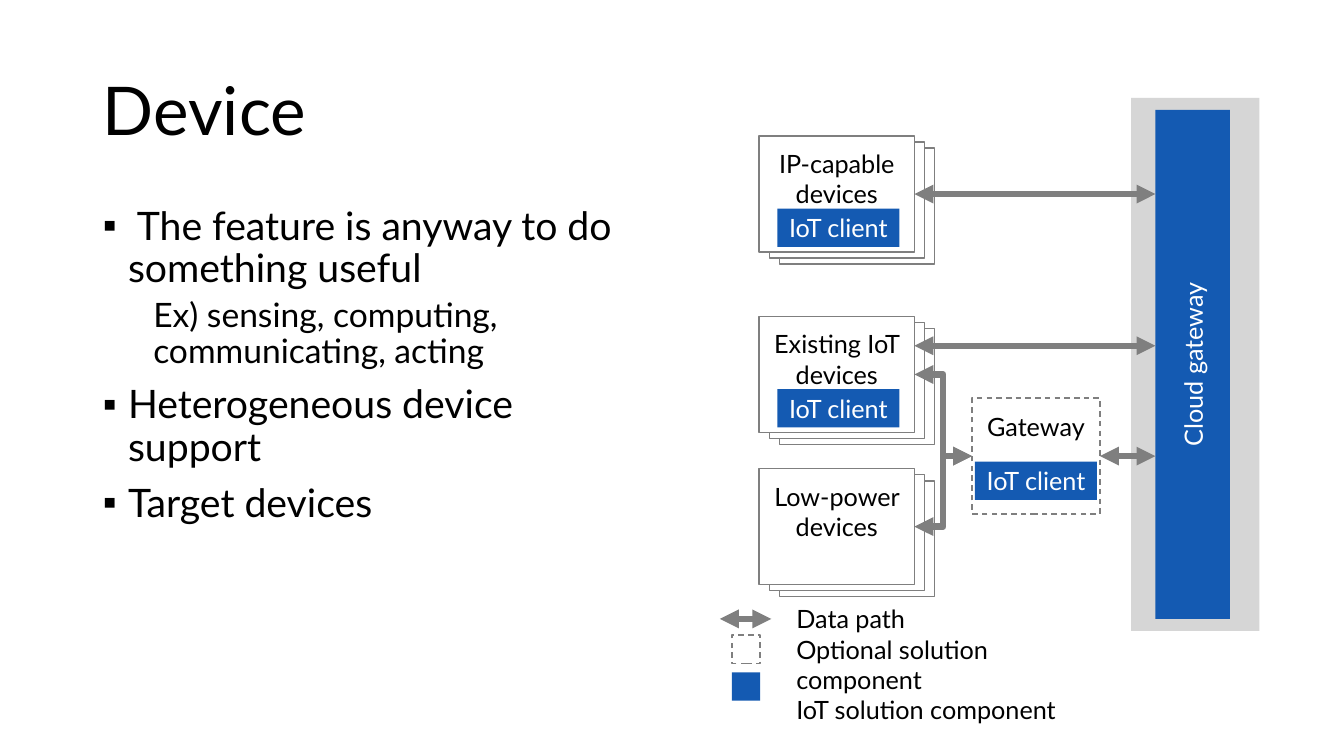
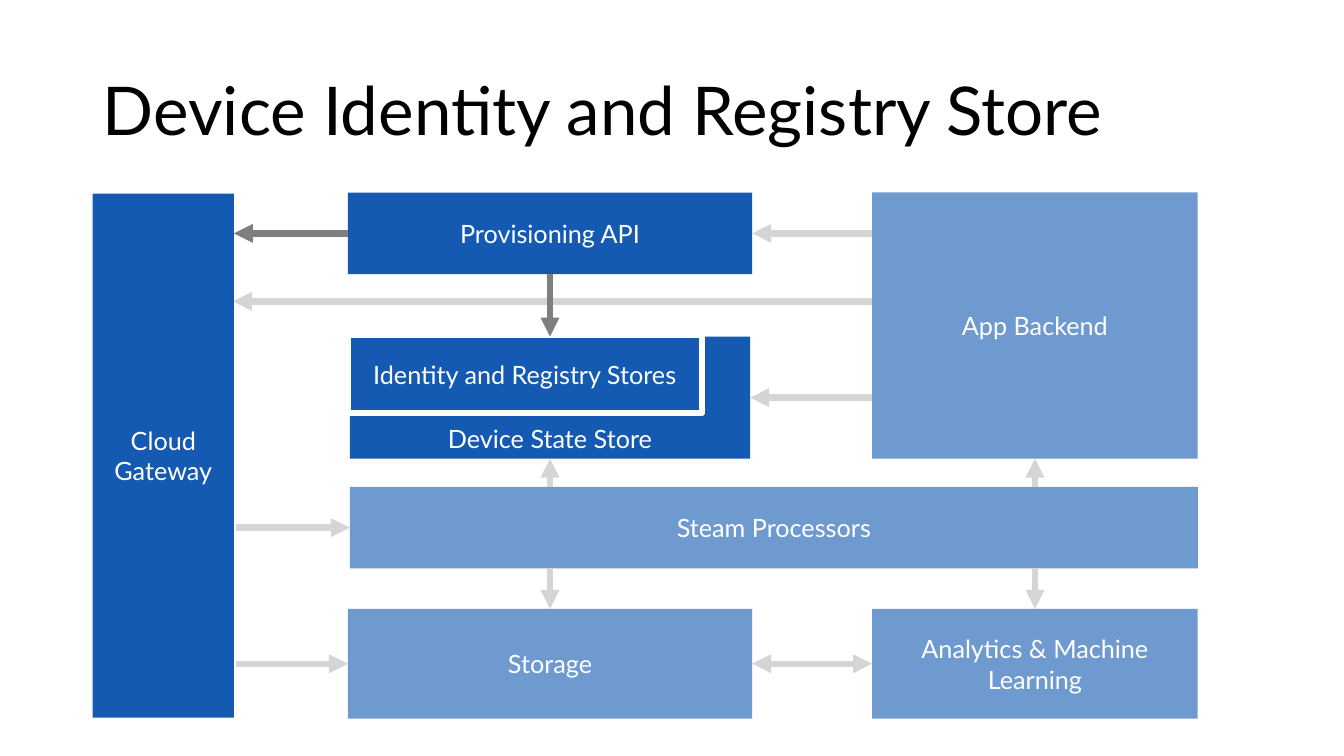
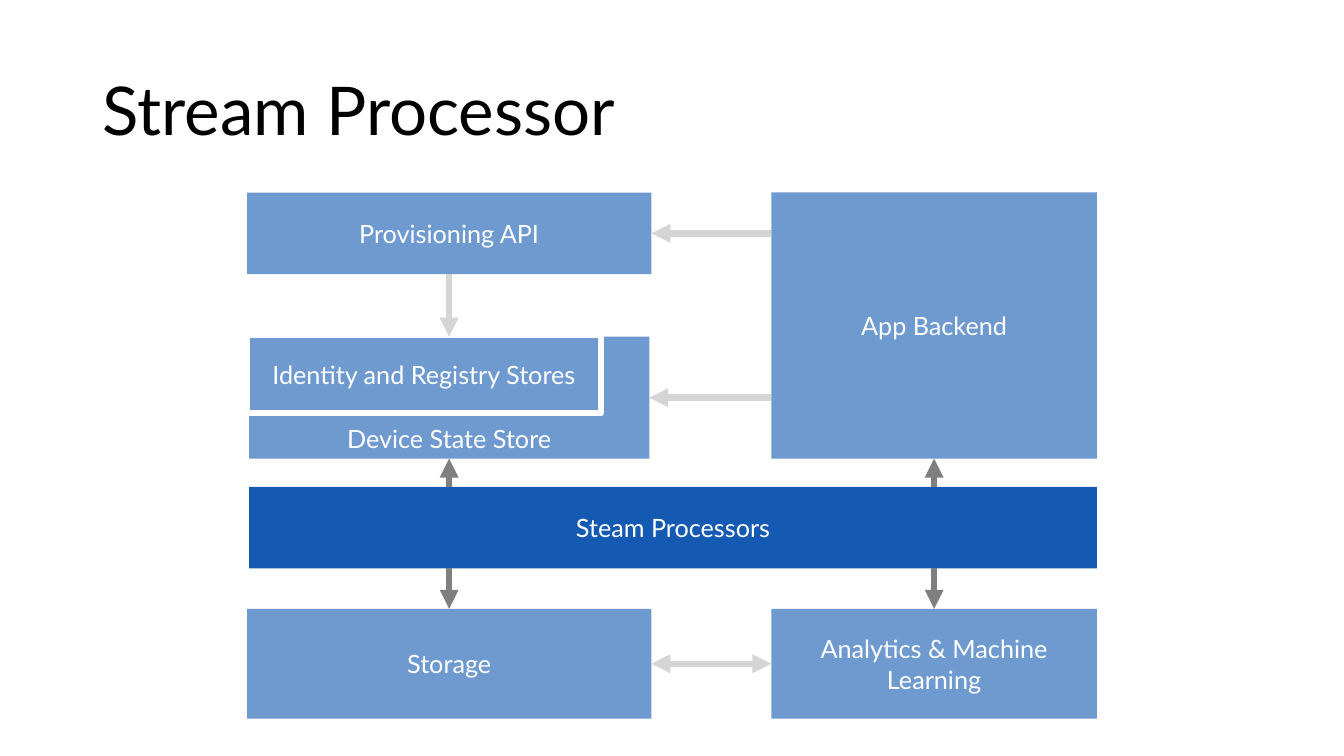
import pptx
import pptx.dml.color
import pptx.enum.dml
import pptx.enum.shapes
import pptx.enum.text
import pptx.oxml
import pptx.oxml.ns
import pptx.util

Inches = pptx.util.Inches
RGBColor = pptx.dml.color.RGBColor
Align = pptx.enum.text.PP_ALIGN
Anchor = pptx.enum.text.MSO_ANCHOR
Connector = pptx.enum.shapes.MSO_CONNECTOR

# Shared style
FONT = "Lato"
BLACK = RGBColor(0x00, 0x00, 0x00)
WHITE = RGBColor(0xFF, 0xFF, 0xFF)
BLUE = RGBColor(0x14, 0x5A, 0xB2)
GRAY = RGBColor(0x7F, 0x7F, 0x7F)
PALE = RGBColor(0xD5, 0xD5, 0xD5)
BAND = RGBColor(0xD6, 0xD6, 0xD6)
FADED = 61  # opacity, in percent, of parts not in focus
TOP, LEFT, BOTTOM, RIGHT = range(4)


def sub(parent, tag, **attrs):
    """Append a DrawingML child with the given attributes."""
    el = pptx.oxml.parse_xml(f"<a:{tag} {pptx.oxml.ns.nsdecls('a')}/>")
    for key, value in attrs.items():
        el.set(key, str(value))
    parent.append(el)


def write(tf, text, first=True, size=18, color=BLACK, align=Align.LEFT,
          level=0, bullet=None, indent=None, spacing=None, before=None):
    """Write one paragraph; indent is (left margin, first line)."""
    p = tf.paragraphs[0] if first else tf.add_paragraph()
    p.alignment, p.level = align, level
    if indent:
        pPr = p._p.get_or_add_pPr()
        pPr.set("marL", str(Inches(indent[0])))
        pPr.set("indent", str(Inches(indent[1])))
        if bullet:
            sub(pPr, "buFont", typeface="Arial")
            sub(pPr, "buChar", char=bullet)
        else:
            sub(pPr, "buNone")
    if spacing:
        p.line_spacing = spacing
    if before is not None:
        p.space_before = pptx.util.Pt(before)
    r = p.add_run()
    r.text = text
    r.font.name, r.font.size = FONT, pptx.util.Pt(size)
    r.font.color.rgb = color


def place(sp, x, y, w, h):
    sp.left, sp.top, sp.width, sp.height = map(Inches, (x, y, w, h))


def add_slide(prs, title, layout=5):
    sl = prs.slides.add_slide(prs.slide_layouts[layout])
    place(sl.shapes.title, 0.92, 0.4, 11.5, 1.45)
    tf = sl.shapes.title.text_frame
    tf.auto_size = pptx.enum.text.MSO_AUTO_SIZE.NONE
    tf.vertical_anchor = Anchor.MIDDLE
    write(tf, title, size=48, spacing=0.9)
    return sl


def box(sl, x, y, w, h, text="", fill=BLUE, line=None, width=1, dash=False,
        opacity=100, color=WHITE, anchor=Anchor.MIDDLE, top=0.05, vert=None):
    """Rectangle with centred text; fill None leaves it open."""
    sp = sl.shapes.add_shape(pptx.enum.shapes.MSO_SHAPE.RECTANGLE,
                             *map(Inches, (x, y, w, h)))
    sp.shadow.inherit = False
    if fill is None:
        sp.fill.background()
    else:
        sp.fill.solid()
        sp.fill.fore_color.rgb = fill
        if opacity < 100:
            clr = sp._element.spPr.find(".//" + pptx.oxml.ns.qn("a:srgbClr"))
            sub(clr, "alpha", val=opacity * 1000)
    if line is None:
        sp.line.fill.background()
    else:
        sp.line.color.rgb = line
        sp.line.width = pptx.util.Pt(width)
        if dash:
            sp.line.dash_style = pptx.enum.dml.MSO_LINE.DASH
    if text:
        tf = sp.text_frame
        tf.word_wrap = True
        tf.vertical_anchor = anchor
        tf.margin_top = Inches(top)
        if vert:
            tf._txBody.bodyPr.set("vert", vert)
        write(tf, text, color=color, align=Align.CENTER)
    return sp


def site(sp, i):
    """Middle of a side, in inches."""
    x = sp.left + sp.width * {LEFT: 0, RIGHT: 1}.get(i, 0.5)
    y = sp.top + sp.height * {TOP: 0, BOTTOM: 1}.get(i, 0.5)
    return x / Inches(1), y / Inches(1)


def arrow(sl, start, end, color=GRAY, both=False, kind=Connector.STRAIGHT):
    """Arrow between ends given as (x, y) or as (shape, side)."""
    glued = [hasattr(e[0], "shape_id") for e in (start, end)]
    points = [site(*e) if g else e for e, g in zip((start, end), glued)]
    cn = sl.shapes.add_connector(
        kind, *(Inches(v) for point in points for v in point))
    if glued[0]:
        cn.begin_connect(*start)
    if glued[1]:
        cn.end_connect(*end)
    cn.line.color.rgb = color
    cn.line.width = pptx.util.Pt(4.5)
    ln = cn.line._get_or_add_ln()
    if both:
        sub(ln, "headEnd", type="triangle")
    sub(ln, "tailEnd", type="triangle")
    sub(cn._element.spPr, "effectLst")


# Device slide
def feature_list(sl, x, y, w, h):
    body = sl.placeholders[1]
    place(body, x, y, w, h)
    tf = body.text_frame
    tf.auto_size = pptx.enum.text.MSO_AUTO_SIZE.NONE
    items = [(0, " The feature is anyway to do something useful"),
             (1, "Ex) sensing, computing, communicating, acting"),
             (0, "Heterogeneous device support"),
             (0, "Target devices")]
    for i, (level, text) in enumerate(items):
        style = (dict(size=24, indent=(0.5, 0), before=5) if level else
                 dict(size=28, indent=(0.25, -0.25), bullet="▪", before=10))
        if i == 0:
            style["before"] = 0
        write(tf, text, first=i == 0, level=level, spacing=0.9, **style)


def client(sl, x, y):
    box(sl, x, y, 1.21, 0.38, "IoT client")


def device_stack(sl, x, y, text, has_client=True):
    """Three stacked cards; returns the front one."""
    w, h = 1.54, 1.15
    for step in (2, 1):
        box(sl, x + step * 0.1, y + step * 0.06, w, h, fill=WHITE, line=GRAY)
    front = box(sl, x, y, w, h, text, fill=WHITE, line=GRAY, color=BLACK,
                anchor=Anchor.TOP, top=0.12)
    if has_client:
        client(sl, x + 0.18, y + 0.72)
    return front


def legend(sl, x, y):
    tb = sl.shapes.add_textbox(*map(Inches, (x + 0.66, y, 3.3, 1.3)))
    tf = tb.text_frame
    tf.word_wrap = True
    for i, text in enumerate(("Data path", "Optional solution component",
                              "IoT solution component")):
        write(tf, text, first=i == 0)
    arrow(sl, (x + 0.51, y + 0.2), (x, y + 0.2), both=True)
    box(sl, x + 0.12, y + 0.36, 0.28, 0.28, fill=WHITE, line=GRAY, dash=True)
    box(sl, x + 0.12, y + 0.73, 0.28, 0.28)


def device_diagram(sl, x, y):
    # Cloud side
    box(sl, x + 3.69, y, 1.27, 5.29, fill=BAND)
    cloud_x = x + 3.93
    box(sl, cloud_x, y + 0.12, 0.74, 5.05, "Cloud gateway", vert="vert270")
    # Local gateway
    gateway = box(sl, x + 2.11, y + 2.98, 1.27, 1.15, "Gateway", fill=WHITE,
                  line=GRAY, dash=True, color=BLACK, anchor=Anchor.TOP,
                  top=0.13)
    client(sl, x + 2.14, y + 3.61)
    # Devices
    low_power = device_stack(sl, x, y + 3.68, "Low-power devices", False)
    ip_capable = device_stack(sl, x, y + 0.38, "IP-capable devices")
    existing = device_stack(sl, x, y + 2.17, "Existing IoT devices")
    # Data paths
    for device in (low_power, existing):
        arrow(sl, (device, RIGHT), (gateway, LEFT), both=True,
              kind=Connector.ELBOW)
    for part in (ip_capable, gateway):
        arrow(sl, (cloud_x, site(part, RIGHT)[1]), (part, RIGHT), both=True)
    arrow(sl, (cloud_x, y + 2.46), (x + 1.54, y + 2.46), both=True)


def device_slide(prs):
    sl = add_slide(prs, "Device", layout=1)
    feature_list(sl, 0.92, 2, 5.67, 4.76)
    device_diagram(sl, 7.53, 0.97)
    legend(sl, 7.14, 5.94)


# Backend diagram, on two slides with different parts in focus
BACKEND_PARTS = {  # offset from the diagram corner, size, label
    "state": (0.02, 1.43, 3.97, 1.21, "Device State Store"),
    "api": (0, 0, 4.01, 0.81, "Provisioning API"),
    "identity": (0, 1.41, 3.51, 0.78, "Identity and Registry Stores"),
    "stream": (0.02, 2.92, 8.41, 0.81, "Steam Processors"),
    "storage": (0, 4.13, 4.01, 1.09, "Storage"),
    "backend": (5.2, 0, 3.23, 2.64, "App Backend"),
    "analytics": (5.2, 4.13, 3.23, 1.09, "Analytics & Machine Learning"),
}


def backend_diagram(sl, x, y, focus):
    parts = {}
    for name, (dx, dy, w, h, text) in BACKEND_PARTS.items():
        style = dict(opacity=100 if name in focus else FADED)
        if name == "state":
            style["anchor"] = Anchor.BOTTOM
        elif name == "identity":
            style.update(line=WHITE, width=4.5)
            if name not in focus:
                style["fill"] = None  # the state store shows through
        parts[name] = box(sl, x + dx, y + dy, w, h, text, **style)

    def shade(name):
        return GRAY if name in focus else PALE

    arrow(sl, (parts["api"], BOTTOM), (parts["state"], TOP), shade("api"))
    # Stream processors to the parts above and below
    for name, side in (("state", BOTTOM), ("storage", TOP),
                       ("backend", BOTTOM), ("analytics", TOP)):
        edge = TOP if side == BOTTOM else BOTTOM
        start = site(parts[name], side)[0], site(parts["stream"], edge)[1]
        arrow(sl, start, (parts[name], side), shade("stream"))
    # App backend to the parts on its left
    for name in ("api", "state"):
        start = x + 5.2, site(parts[name], RIGHT)[1]
        arrow(sl, start, (parts[name], RIGHT), shade("backend"))
    arrow(sl, (parts["storage"], RIGHT), (parts["analytics"], LEFT),
          shade("storage"), both=True)
    return parts


def cloud_gateway(sl, x, y, parts):
    w = 1.4
    box(sl, x, y, w, 5.2, "Cloud Gateway")
    api_y = site(parts["api"], LEFT)[1]
    arrow(sl, (parts["api"], LEFT), (x + w, api_y))
    for name in ("stream", "storage"):
        start = x + w + 0.02, site(parts[name], LEFT)[1]
        arrow(sl, start, (parts[name], LEFT), PALE)


def registry_slide(prs):
    sl = add_slide(prs, "Device Identity and Registry Store")
    arrow(sl, (8.65, 2.99), (2.31, 2.99), PALE)  # runs behind the parts
    parts = backend_diagram(sl, 3.45, 1.91, {"api", "identity", "state"})
    cloud_gateway(sl, 0.92, 1.92, parts)


def stream_slide(prs):
    sl = add_slide(prs, "Stream Processor")
    backend_diagram(sl, 2.45, 1.91, {"stream"})


def main():
    prs = pptx.Presentation()
    prs.slide_width, prs.slide_height = Inches(13.33), Inches(7.5)
    device_slide(prs)
    registry_slide(prs)
    stream_slide(prs)
    prs.save("out.pptx")


if __name__ == "__main__":
    main()
